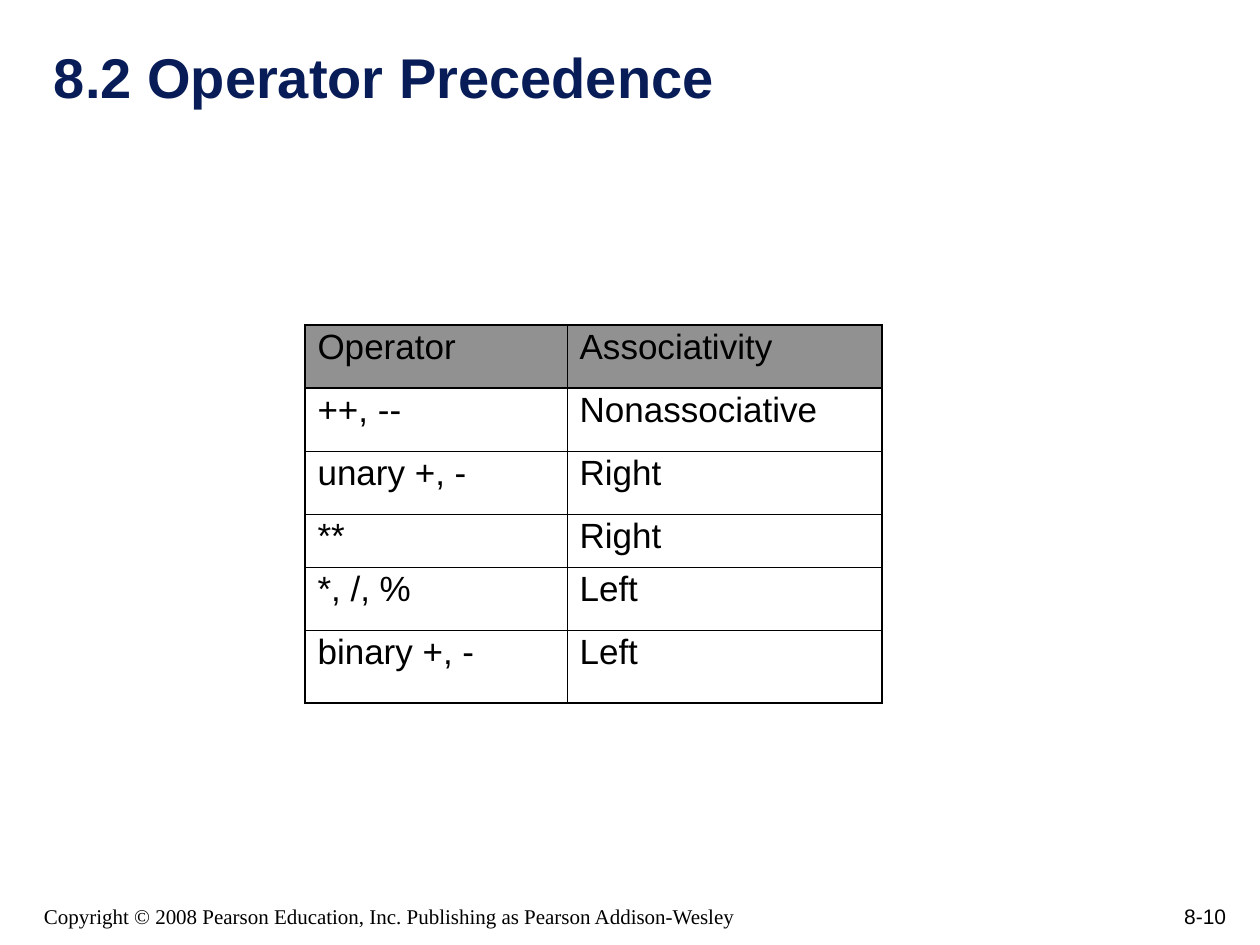
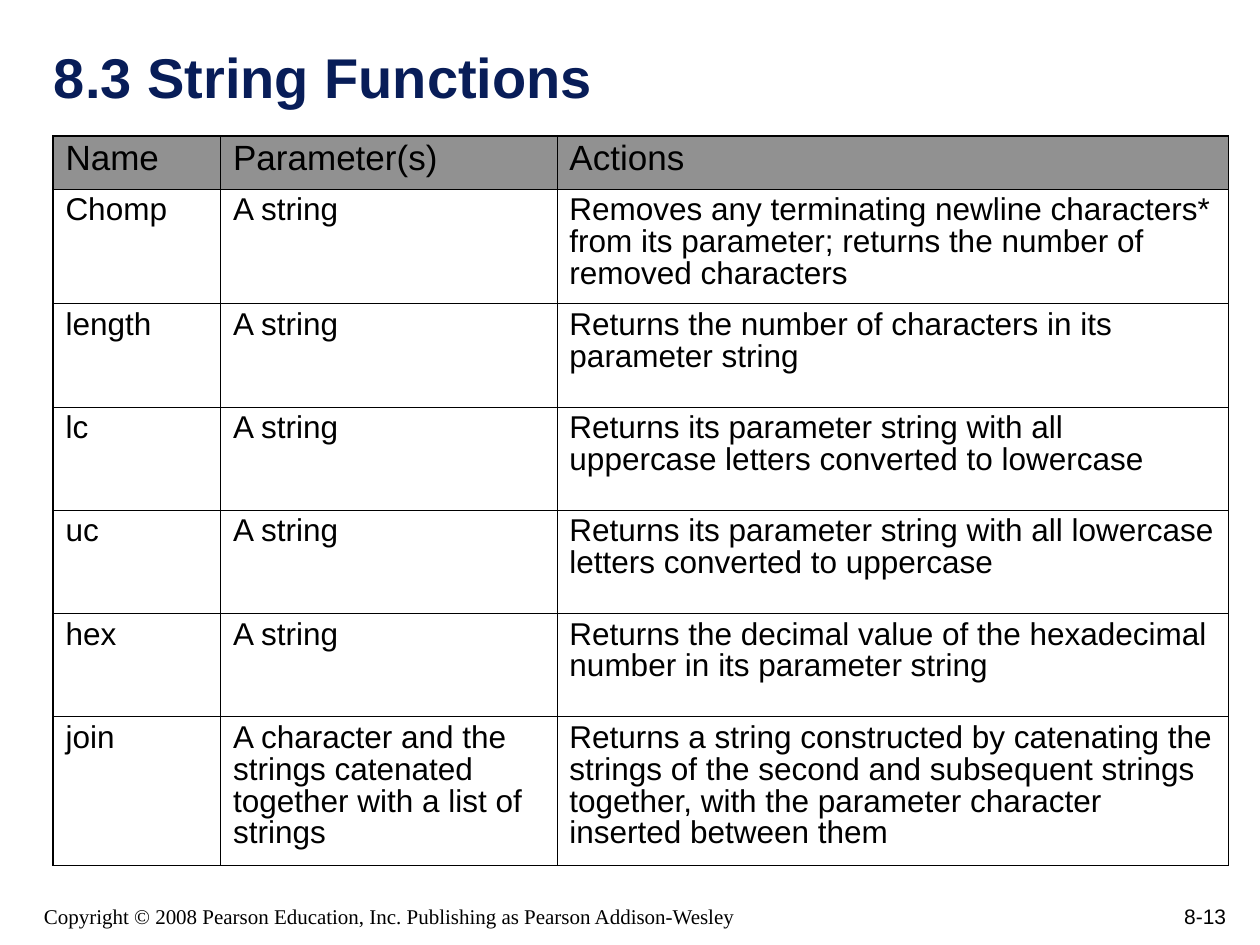
from lxml import etree
from pptx import Presentation
from pptx.dml.color import RGBColor
from pptx.enum.text import MSO_ANCHOR, PP_ALIGN
from pptx.oxml.ns import qn
from pptx.util import Inches, Pt

LEFT, RIGHT = PP_ALIGN.LEFT, PP_ALIGN.RIGHT
BOTTOM = MSO_ANCHOR.BOTTOM

COLORS = {"title": "081D58", "text": "000000", "header": "919191", "border": "000000"}
SANS, SERIF = "Arial", "Times New Roman"
COPYRIGHT = "Copyright © 2008 Pearson Education, Inc. Publishing as Pearson Addison-Wesley"
INNER_LINE, OUTER_LINE, HEADER_LINE = 0.45, 1.08, 1.47
HEADER_SIZE = 20

SLIDES = [
    {
        "title": "8.2 Operator Precedence",
        "number": "8-10",
        "origin": (2.42, 2.58),
        "columns": [2.08, 2.5],
        "heights": [0.5, 0.5, 0.5, 0.42, 0.5, 0.58],
        "body_size": 20,
        "header_line": HEADER_LINE,
        "rows": [
            ("Operator", "Associativity"),
            ("++, --", "Nonassociative"),
            ("unary +, -", "Right"),
            ("**", "Right"),
            ("*, /, %", "Left"),
            ("binary +, -", "Left"),
        ],
    },
    {
        "title": "8.3 String Functions",
        "number": "8-13",
        "origin": (0.42, 1.08),
        "columns": [1.33, 2.67, 5.33],
        "heights": [0.42, 0.91, 0.82, 0.82, 0.82, 0.82, 1.18],
        "body_size": 18,
        "header_line": INNER_LINE,
        "rows": [
            ("Name", "Parameter(s)", "Actions"),
            ("Chomp", "A string",
             "Removes any terminating newline characters* from its parameter; "
             "returns the number of removed characters"),
            ("length", "A string",
             "Returns the number of characters in its parameter string"),
            ("lc", "A string",
             "Returns its parameter string with all uppercase letters converted to lowercase"),
            ("uc", "A string",
             "Returns its parameter string with all lowercase letters converted to uppercase"),
            ("hex", "A string",
             "Returns the decimal value of the hexadecimal number in its parameter string"),
            ("join", "A character and the strings catenated together with a list of strings",
             "Returns a string constructed by catenating the strings of the second and "
             "subsequent strings together, with the parameter character inserted between them"),
        ],
    },
]


def write(frame, text, size, font=SANS, color="text", bold=False, align=LEFT):
    frame.text = text
    paragraph = frame.paragraphs[0]
    paragraph.alignment = align
    span = paragraph.runs[0]
    span.font.name = font
    span.font.size = Pt(size)
    span.font.bold = bold
    span.font.color.rgb = RGBColor.from_string(COLORS[color])
    return paragraph


def add_text(page, place, text, size, **style):
    box = page.shapes.add_textbox(*map(Inches, place))
    frame = box.text_frame
    frame.word_wrap = True
    frame.vertical_anchor = BOTTOM
    write(frame, text, size, **style)


def set_borders(cell, widths):
    """Draw the cell's sides; widths are points for left, right, top, bottom."""
    properties = cell._tc.get_or_add_tcPr()
    for side, width in zip("LRTB", widths):
        line = etree.SubElement(properties, qn(f"a:ln{side}"), w=str(Pt(width)))
        fill = etree.SubElement(line, qn("a:solidFill"))
        etree.SubElement(fill, qn("a:srgbClr"), val=COLORS["border"])


def add_grid(page, content):
    rows, columns, heights = content["rows"], content["columns"], content["heights"]
    sizes = (*content["origin"], sum(columns), sum(heights))
    table = page.shapes.add_table(len(rows), len(columns), *map(Inches, sizes)).table
    table.first_row = table.horz_banding = False
    for column, width in zip(table.columns, columns):
        column.width = Inches(width)
    for row, height in zip(table.rows, heights):
        row.height = Inches(height)

    across = [OUTER_LINE, *[INNER_LINE] * (len(columns) - 1), OUTER_LINE]
    down = [OUTER_LINE, content["header_line"], *[INNER_LINE] * (len(rows) - 2), OUTER_LINE]
    for r, texts in enumerate(rows):
        for c, text in enumerate(texts):
            cell = table.cell(r, c)
            size = HEADER_SIZE if r == 0 else content["body_size"]
            write(cell.text_frame, text, size).line_spacing = 0.9
            set_borders(cell, (across[c], across[c + 1], down[r], down[r + 1]))
            if r == 0:
                cell.fill.solid()
                cell.fill.fore_color.rgb = RGBColor.from_string(COLORS["header"])
            else:
                cell.fill.background()


def main():
    deck = Presentation()
    deck.slide_width, deck.slide_height = Inches(10), Inches(7.5)
    blank = deck.slide_layouts[6]
    for content in SLIDES:
        page = deck.slides.add_slide(blank)
        add_text(page, (7.75, 6.92, 2.08, 0.5), content["number"], 12, align=RIGHT)
        add_text(page, (0.25, 7, 6.08, 0.42), COPYRIGHT, 12, font=SERIF)
        add_text(page, (0.33, 0.33, 9.42, 0.59), content["title"], 32, color="title", bold=True)
        add_grid(page, content)
    deck.save("out.pptx")


if __name__ == "__main__":
    main()
